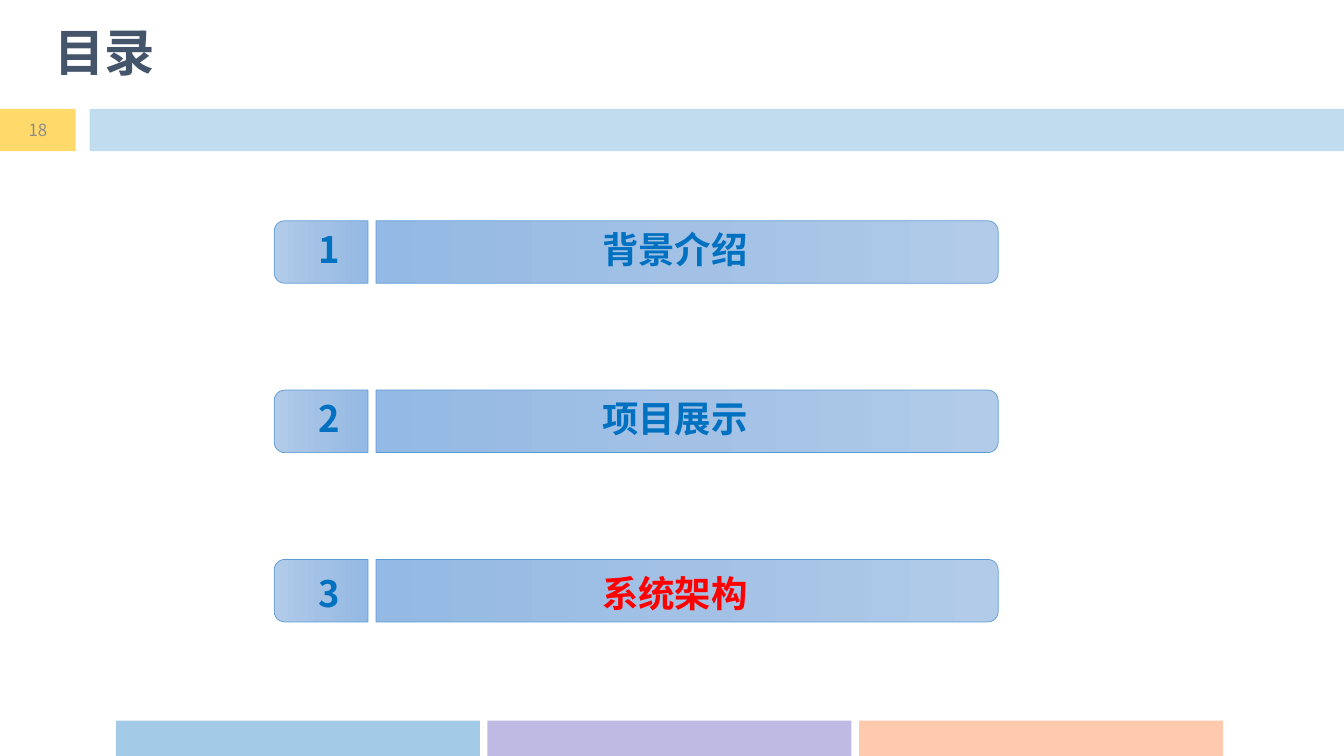
from copy import deepcopy

from lxml.etree import SubElement
from pptx import Presentation
from pptx.dml.color import RGBColor
from pptx.enum.shapes import MSO_SHAPE
from pptx.enum.text import MSO_ANCHOR, PP_ALIGN
from pptx.oxml.ns import qn
from pptx.util import Inches, Pt

SANS = "Noto Sans CJK SC"
BLUE, RED = "0070C0", "FF0000"
TAB_STOPS = [(0, "B1CBE9"), (0.5, "A3C1E5"), (1, "93B9E4")]
FIRST_ROW, ROW_PITCH, TAB_HEIGHT = 2.5, 1.68, 0.62

# Title, title colour, top of its text
AGENDA = [("背景介绍", BLUE, 2.19), ("项目展示", BLUE, 3.87), ("系统架构", RED, 5.61)]


def rgb(color):
    return RGBColor.from_string(color)


def add_text(box, text, size, color, bold=True, font=SANS, align=PP_ALIGN.CENTER):
    frame = box.text_frame
    frame.word_wrap = True
    frame.vertical_anchor = MSO_ANCHOR.MIDDLE
    frame.text = text
    para = frame.paragraphs[0]
    para.alignment = align
    span = para.runs[0]
    span.font.name = font
    span.font.size = Pt(size)
    span.font.bold = bold
    span.font.color.rgb = rgb(color)
    return para


def add_label(page, place, text, size, color, **style):
    box = page.shapes.add_textbox(*map(Inches, place))
    return add_text(box, text, size, color, **style)


def add_band(page, place, color, opacity=100):
    """Add a borderless rectangle; opacity is a percentage."""
    band = page.shapes.add_shape(MSO_SHAPE.RECTANGLE, *map(Inches, place))
    band.shadow.inherit = False
    band.line.fill.background()
    band.fill.solid()
    band.fill.fore_color.rgb = rgb(color)
    if opacity < 100:
        tint = band.fill._xPr.find(qn("a:solidFill"))[0]
        SubElement(tint, qn("a:alpha")).set("val", str(opacity * 1000))
    return band


def fill_gradient(shape):
    shape.fill.gradient()
    shape.fill.gradient_angle = 270
    stop_list = shape.fill._xPr.find(qn("a:gradFill")).find(qn("a:gsLst"))
    stop_list.append(deepcopy(stop_list[-1]))
    for stop, (position, color) in zip(shape.fill.gradient_stops, TAB_STOPS):
        stop.position = position
        stop.color.rgb = rgb(color)


def add_tab(page, left, middle, length, round_right=False):
    """Add a lying tab, rounded on its left end or on its right end."""
    tab = page.shapes.add_shape(
        MSO_SHAPE.ROUND_2_SAME_RECTANGLE,
        Inches(left + (length - TAB_HEIGHT) / 2), Inches(middle - length / 2),
        Inches(TAB_HEIGHT), Inches(length))
    tab.rotation = 270
    if round_right:
        tab._element.spPr.find(qn("a:xfrm")).set("flipV", "1")
    tab.shadow.inherit = False
    fill_gradient(tab)
    tab.line.color.rgb = rgb("5B9BD5")
    tab.line.width = Pt(0.5)


def add_agenda_row(page, number, title, color, text_top):
    middle = FIRST_ROW + (number - 1) * ROW_PITCH
    add_tab(page, 2.72, middle, 0.93)
    add_tab(page, 3.73, middle, 6.17, round_right=True)
    add_label(page, (4.59, text_top, 4.21, 0.55), title, 26, color)
    add_label(page, (3.06, text_top, 0.4, 0.55), str(number), 26, BLUE)


def main():
    deck = Presentation()
    deck.slide_width, deck.slide_height = Inches(13.33), Inches(7.5)
    page = deck.slides.add_slide(deck.slide_layouts[6])

    footer = [(BLUE, 36), ("BFBAE4", 100), ("FF9966", 53)]
    for index, (color, opacity) in enumerate(footer):
        add_band(page, (1.15 + index * 3.685, 7.15, 3.61, 0.35), color, opacity)
    add_band(page, (0.89, 1.08, 12.44, 0.42), BLUE, 24)
    page_number = add_band(page, (0, 1.08, 0.75, 0.42), "FFC000", 59)
    add_text(page_number, "18", 12, "8C8C8C", bold=False)

    heading = add_label(page, (0.44, -0.08, 12.52, 1.25), "目录", 36, "44546A",
                        font="Times New Roman", align=PP_ALIGN.LEFT)
    heading.line_spacing = 0.9

    for number, (title, color, text_top) in enumerate(AGENDA, start=1):
        add_agenda_row(page, number, title, color, text_top)

    deck.save("out.pptx")


if __name__ == "__main__":
    main()
